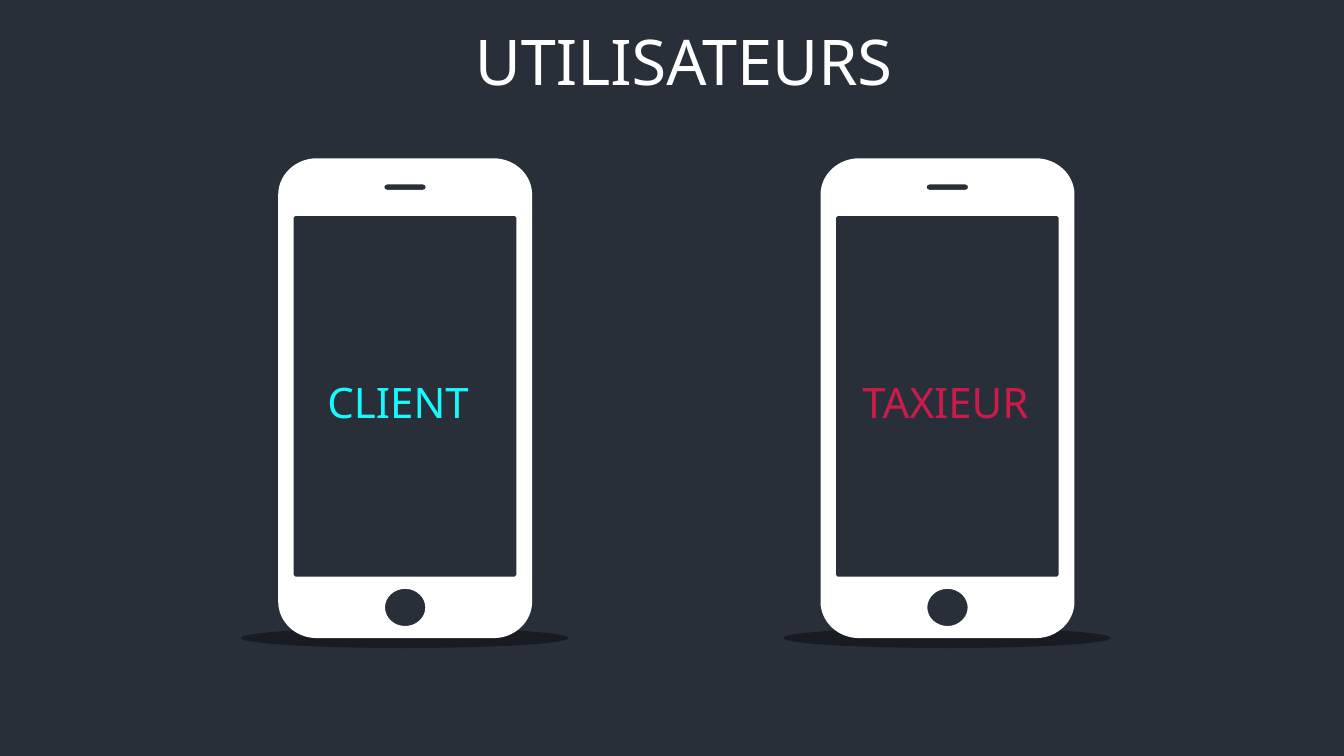
import pptx
import pptx.util
import pptx.dml.color
import pptx.enum.shapes
import pptx.enum.text
import pptx.oxml.ns
import lxml.etree

Pt = pptx.util.Pt
qn = pptx.oxml.ns.qn

TITLE = ("UTILISATEURS", (198.7, 12.2, 578.9, 62))
# Label, its colour, its box, left edge of the phone
USERS = [
    ("CLIENT", "client", (219.6, 265.7, 129.6, 44), 198.7),
    ("TAXIEUR", "driver", (605.5, 265.7, 139.7, 44), 586.1),
]
THEME = {
    "font": "Noto Sans",
    "title": 45, "label": 30,
    "back": "282F39", "white": "FFFFFF", "black": "000000",
    "client": "18F9FF", "driver": "CB1B4A",
    "shade": 40,
}
PHONE_TOP = 113.1
# Left, top, width, height, corner radii across and down, from the phone's corner
PARTS = {
    "body": (0, 0, 181.4, 342.7, 27.5, 26),
    "speaker": (75.8, 18.7, 29.6, 3.8, 1.9, 1.9),
    "button": (76.3, 307.5, 28.8, 26.6, 14.4, 13.3),
    "screen": (11, 41.2, 159.2, 257.6, 1.2, 1.2),
}
SHADOW = (-26.6, 335.4, 234, 14.4)
BEND = 0.55


def color(name):
    return pptx.dml.color.RGBColor.from_string(THEME[name])


def place(shape, box):
    shape.left, shape.top, shape.width, shape.height = map(Pt, box)


def write(shape, text, size, tint, wrap=True):
    frame = shape.text_frame
    frame.word_wrap = wrap
    frame.auto_size = pptx.enum.text.MSO_AUTO_SIZE.NONE
    frame.vertical_anchor = pptx.enum.text.MSO_ANCHOR.TOP
    para = frame.paragraphs[0]
    para.alignment = pptx.enum.text.PP_ALIGN.CENTER
    run = para.add_run()
    run.text = text
    run.font.name = THEME["font"]
    run.font.size = Pt(THEME[size])
    run.font.color.rgb = color(tint)


def paint(shape, tint):
    shape.shadow.inherit = False
    shape.fill.solid()
    shape.fill.fore_color.rgb = color(tint)
    shape.line.fill.background()


def outline(left, part):
    """Return both ends of each corner of a rounded box, clockwise."""
    x, y, wide, high, rx, ry = part
    x, y = x + left, y + PHONE_TOP
    far, low = x + wide, y + high
    ends = [(x, y + ry), (x + rx, y), (far - rx, y), (far, y + ry),
            (far, low - ry), (far - rx, low), (x + rx, low), (x, low - ry)]
    return [(Pt(across), Pt(down)) for across, down in ends]


def bend(shape):
    """Turn the straight cut at every corner into a curve."""
    last, count = None, 0
    for move in list(shape.element.iter(qn("a:moveTo"), qn("a:lnTo"))):
        point = move[0]
        here = int(point.get("x")), int(point.get("y"))
        if move.tag == qn("a:moveTo"):
            count = 0
        else:
            if count % 2 == 0:
                tip = (last[0], here[1]) if count % 4 == 0 else (here[0], last[1])
                for spot, end in enumerate((last, here)):
                    x, y = (round(a + (b - a) * BEND) for a, b in zip(end, tip))
                    knob = move.makeelement(qn("a:pt"), {"x": str(x), "y": str(y)})
                    move.insert(spot, knob)
                move.tag = qn("a:cubicBezTo")
            count += 1
        last = here


def add_phone(slide, left):
    group = slide.shapes.add_group_shape()
    x, y, wide, high = SHADOW
    oval = group.shapes.add_shape(
        pptx.enum.shapes.MSO_SHAPE.OVAL,
        *map(Pt, (left + x, PHONE_TOP + y, wide, high)))
    paint(oval, "black")
    tone = next(oval.element.spPr.iter(qn("a:srgbClr")))
    lxml.etree.SubElement(tone, qn("a:alpha"), val=str(THEME["shade"] * 1000))

    body, *holes = [outline(left, part) for part in PARTS.values()]
    draft = group.shapes.build_freeform(*body[0])
    draft.add_line_segments(body[1:])
    for hole in holes:
        draft.move_to(*hole[0])
        draft.add_line_segments(hole[1:])
    phone = draft.convert_to_shape()
    bend(phone)
    paint(phone, "white")


def main():
    deck = pptx.Presentation()
    deck.slide_width, deck.slide_height = Pt(960), Pt(540)
    slide = deck.slides.add_slide(deck.slide_layouts[5])
    slide.background.fill.solid()
    slide.background.fill.fore_color.rgb = color("back")

    text, box = TITLE
    place(slide.shapes.title, box)
    write(slide.shapes.title, text, size="title", tint="white")
    for text, tint, box, left in USERS:
        add_phone(slide, left)
        label = slide.shapes.add_textbox(*map(Pt, box))
        write(label, text, size="label", tint=tint, wrap=False)
    deck.save("out.pptx")


if __name__ == "__main__":
    main()
